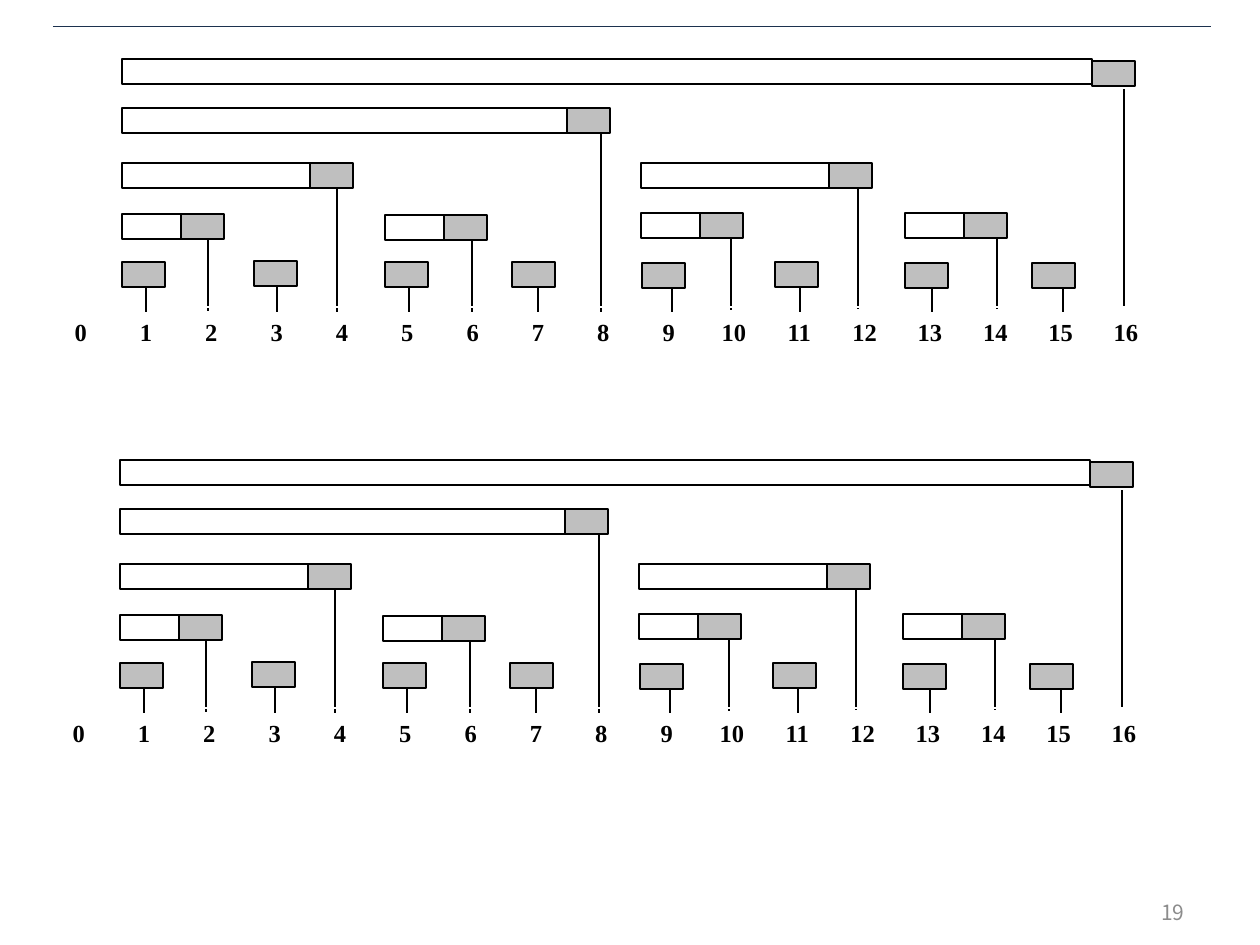
from collections import namedtuple

from lxml import etree
from pptx import Presentation
from pptx import util as u
from pptx.dml.color import RGBColor
from pptx.enum import shapes, text
from pptx.oxml import ns

BLACK = RGBColor(0x00, 0x00, 0x00)
NAVY = RGBColor(0x1C, 0x31, 0x4E)
GRAY = RGBColor(0xBF, 0xBF, 0xBF)
NUMBER_GRAY = RGBColor(0x8C, 0x8C, 0x8C)

NODE_WIDTH, NODE_HEIGHT = 43, 25
INDEX_COUNT = 17
Node = namedtuple("Node", "left top covered stem stem_top stem_bottom")

INNER_NODES = [
    Node(74, 155, 59, 160, 168, 252),
    Node(337, 156, 59, 424, 169, 253),
    Node(593, 154, 59, 683, 167, 251),
    Node(857, 154, 59, 949, 165, 250),
    Node(74, 104, 188, 289, 128, 253),
    Node(593, 104, 188, 810, 130, 250),
    Node(74, 49, 445, 553, 74, 253),
    Node(74, 0, 970, 1076, 30, 248),
]
LEAF_NODES = [
    Node(left, top, 0, stem, top + NODE_HEIGHT, 253)
    for left, top, stem in [
        (74, 203, 98), (206, 202, 229), (337, 203, 361), (464, 203, 490),
        (594, 204, 624), (727, 203, 752), (857, 204, 884), (984, 204, 1015),
    ]
]


def px(length):
    return u.Emu(round(length * 914400 / 126))


def add_line(slide, x1, y1, x2, y2, color=BLACK, width=1.5):
    line = slide.shapes.add_connector(
        shapes.MSO_CONNECTOR.STRAIGHT, px(x1), px(y1), px(x2), px(y2))
    line.line.color.rgb = color
    line.line.width = u.Pt(width)
    etree.SubElement(line._element.spPr, ns.qn("a:effectLst"))


def add_bar(slide, left, top, width, color=None):
    shape = slide.shapes.add_shape(
        shapes.MSO_SHAPE.RECTANGLE, px(left), px(top), px(width), px(NODE_HEIGHT))
    shape.shadow.inherit = False
    if color is None:
        shape.fill.background()
    else:
        shape.fill.solid()
        shape.fill.fore_color.rgb = color
    shape.line.color.rgb = BLACK
    shape.line.width = u.Pt(1.5)


def add_stem(slide, left, top, node):
    x = left + node.stem
    add_line(slide, x, top + node.stem_bottom, x, top + node.stem_top)


def add_node(slide, left, top, node):
    x, y = left + node.left, top + node.top
    drop = 2 if node.top == 0 else 0
    add_bar(slide, x + node.covered, y + drop, NODE_WIDTH, GRAY)
    if node.covered:
        add_bar(slide, x, y, node.covered)


def add_cell_borders(cell):
    properties = cell._tc.get_or_add_tcPr()
    for side, points in (("L", 1), ("R", 1), ("T", 1), ("B", 3)):
        border = etree.SubElement(
            properties, ns.qn(f"a:ln{side}"), w=str(u.Pt(points)))
        fill = etree.SubElement(border, ns.qn("a:solidFill"))
        etree.SubElement(fill, ns.qn("a:srgbClr"), val="FFFFFF")


def add_index_row(slide, left, top, width, height):
    table = slide.shapes.add_table(
        1, INDEX_COUNT, px(left), px(top), px(width), px(height)).table
    table.first_row = False
    table.horz_banding = False
    for index in range(INDEX_COUNT):
        table.columns[index].width = px(width / INDEX_COUNT)
        cell = table.cell(0, index)
        add_cell_borders(cell)
        cell.fill.background()
        cell.vertical_anchor = text.MSO_ANCHOR.MIDDLE
        cell.text = str(index)
        paragraph = cell.text_frame.paragraphs[0]
        paragraph.alignment = text.PP_ALIGN.CENTER
        paragraph.font.name = "Times New Roman"
        paragraph.font.size = u.Pt(14)
        paragraph.font.bold = True
        paragraph.font.color.rgb = BLACK


def add_index_tree(slide, left, top):
    for node in INNER_NODES:
        add_stem(slide, left, top, node)
    add_index_row(slide, left, top + 248, 1111, 52)
    for node in INNER_NODES + LEAF_NODES:
        add_node(slide, left, top, node)
    for node in LEAF_NODES:
        add_stem(slide, left, top, node)


def add_slide_number(slide, left, top, width, height):
    box = slide.shapes.add_textbox(px(left), px(top), px(width), px(height))
    frame = box.text_frame
    frame.word_wrap = True
    frame.vertical_anchor = text.MSO_ANCHOR.MIDDLE
    paragraph = frame.paragraphs[0]
    paragraph.text = "19"
    paragraph.alignment = text.PP_ALIGN.RIGHT
    paragraph.font.name = "Noto Sans CJK KR"
    paragraph.font.size = u.Pt(12)
    paragraph.font.color.rgb = NUMBER_GRAY


def main():
    presentation = Presentation()
    presentation.slide_width = px(1260)
    presentation.slide_height = px(945)
    slide = presentation.slides.add_slide(presentation.slide_layouts[6])
    add_line(slide, 53, 26, 1211, 26, NAVY, 0.25)
    add_slide_number(slide, 903, 887, 294, 50)
    for left, top in ((48, 59), (46, 460)):
        add_index_tree(slide, left, top)
    presentation.save("out.pptx")


if __name__ == "__main__":
    main()
